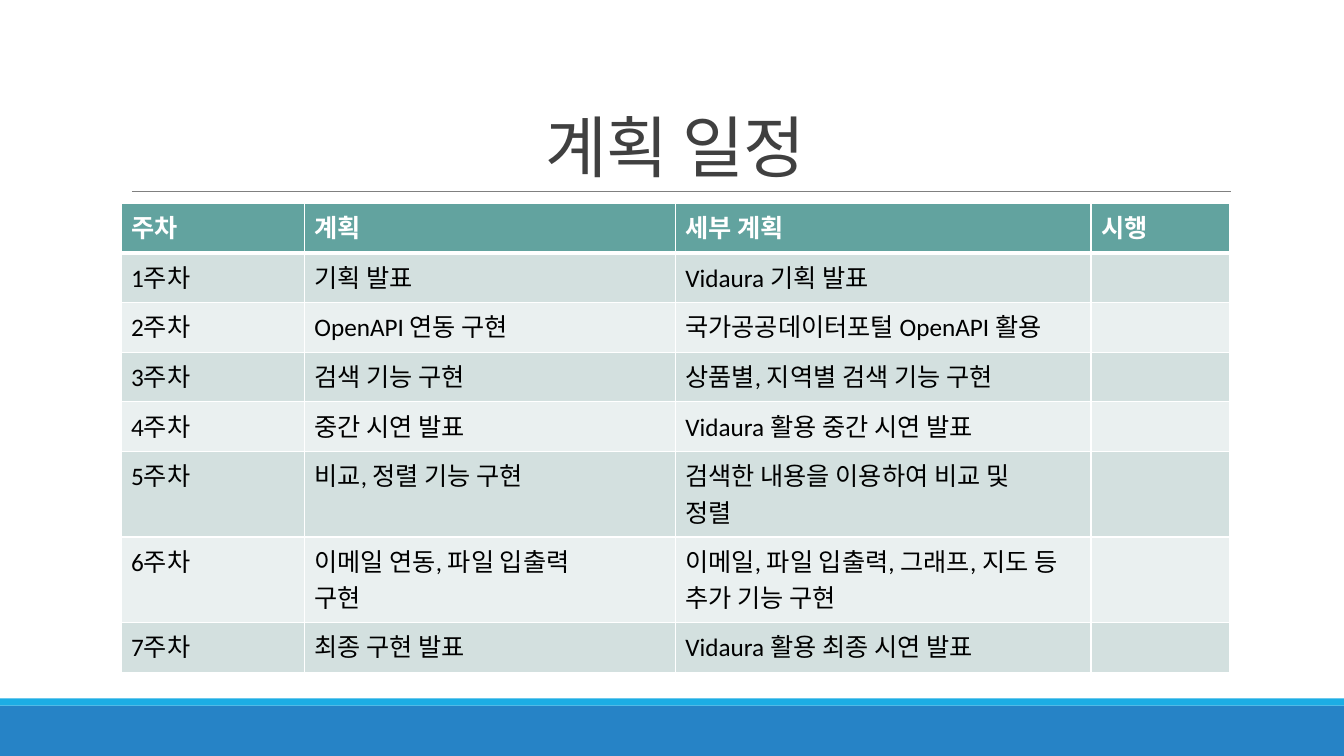
"""Build the weekly plan schedule slide."""
from dataclasses import dataclass

from lxml.etree import SubElement
from pptx import Presentation
from pptx.dml.color import RGBColor
from pptx.enum.shapes import MSO_CONNECTOR as Connector, MSO_SHAPE as Shape
from pptx.enum.text import MSO_ANCHOR as Anchor, PP_ALIGN as Align
from pptx.oxml.ns import qn
from pptx.util import Pt


@dataclass(frozen=True)
class Bar:
    top: float
    height: float
    color: str


@dataclass(frozen=True)
class Week:
    plan: str
    detail: str
    height: float = 35.4


WIDTH, HEIGHT = 960, 540
TABLE_LEFT, TABLE_TOP = 86.4, 145.44
COLUMN_WIDTHS = (131, 265, 297, 99)
HEADINGS = ("주차", "계획", "세부 계획", "시행")
HEADER_HEIGHT, TALL = 35.4, 61.2
HEADER_FILL, BAND_FILLS = "62A39F", ("D3E0DF", "EAF0F0")
BARS = (Bar(504, 36, "2683C6"), Bar(498.96, 5.04, "1CADE4"))
WEEKS = (
    Week("기획 발표", "Vidaura 기획 발표"),
    Week("OpenAPI 연동 구현", "국가공공데이터포털 OpenAPI 활용"),
    Week("검색 기능 구현", "상품별, 지역별 검색 기능 구현"),
    Week("중간 시연 발표", "Vidaura 활용 중간 시연 발표"),
    Week("비교, 정렬 기능 구현", "검색한 내용을 이용하여 비교 및\n정렬", TALL),
    Week("이메일 연동, 파일 입출력\n구현", "이메일, 파일 입출력, 그래프, 지도 등 추가 기능 구현", TALL),
    Week("최종 구현 발표", "Vidaura 활용 최종 시연 발표"),
)
TITLE_FONT = {"name": "Calibri", "size": Pt(48)}
CELL_FONT = {"name": "Calibri", "size": Pt(18)}


def rgb(color: str) -> RGBColor:
    """Turn a hex string into a colour."""
    return RGBColor.from_string(color)


def apply(target, values: dict) -> None:
    """Set each named attribute on the target."""
    for name, value in values.items():
        setattr(target, name, value)


def draw_bar(page, bar: Bar) -> None:
    """Draw one full-width footer bar."""
    shape = page.shapes.add_shape(Shape.RECTANGLE, 0, Pt(bar.top), Pt(WIDTH), Pt(bar.height))
    shape.shadow.inherit = False
    shape.fill.solid()
    shape.fill.fore_color.rgb = rgb(bar.color)
    shape.line.fill.background()


def draw_rule(page) -> None:
    """Draw the thin line below the title."""
    rule = page.shapes.add_connector(Connector.STRAIGHT, Pt(94.3), Pt(136.8), Pt(879.1), Pt(136.8))
    rule.line.width = Pt(0.5)
    rule.line.color.rgb = rgb("808080")
    SubElement(rule._element.spPr, qn("a:effectLst"))


def draw_title(page, text: str) -> None:
    """Write the centred slide title."""
    box = page.shapes.add_textbox(Pt(TABLE_LEFT), Pt(22.3), Pt(792), Pt(114.5))
    apply(box.text_frame, {"word_wrap": True, "vertical_anchor": Anchor.BOTTOM})
    para = box.text_frame.paragraphs[0]
    apply(para, {"alignment": Align.CENTER, "line_spacing": 0.85})
    span = para.add_run()
    span.text = text
    apply(span.font, TITLE_FONT)
    span.font.color.rgb = rgb("404040")
    span._r.get_or_add_rPr().set("spc", "-50")


def add_borders(cell, top: float, bottom: float) -> None:
    """Give a cell white borders."""
    properties = cell._tc.get_or_add_tcPr()
    for side, width in (("L", 1), ("R", 1), ("T", top), ("B", bottom)):
        line = SubElement(properties, qn(f"a:ln{side}"), w=str(Pt(width)))
        SubElement(SubElement(line, qn("a:solidFill")), qn("a:srgbClr"), val="FFFFFF")


def fill_cell(cell, text: str, row: int) -> None:
    """Write and format one cell according to its row."""
    header = row == 0
    cell.text = text
    for para in cell.text_frame.paragraphs:
        for font in (para.font, *(span.font for span in para.runs)):
            apply(font, CELL_FONT | {"bold": header})
            font.color.rgb = rgb("FFFFFF" if header else "000000")
    add_borders(cell, 3 if row == 1 else 1, 3 if header else 1)
    cell.fill.solid()
    cell.fill.fore_color.rgb = rgb(HEADER_FILL if header else BAND_FILLS[(row - 1) % 2])


def draw_schedule(page) -> None:
    """Draw the schedule table."""
    rows = [HEADINGS] + [(f"{n}주차", week.plan, week.detail, "") for n, week in enumerate(WEEKS, 1)]
    heights = [HEADER_HEIGHT] + [week.height for week in WEEKS]
    table = page.shapes.add_table(
        len(rows), len(HEADINGS), Pt(TABLE_LEFT), Pt(TABLE_TOP), Pt(sum(COLUMN_WIDTHS)), Pt(sum(heights))
    ).table
    for column, width in zip(table.columns, COLUMN_WIDTHS):
        column.width = Pt(width)
    for index, (texts, height) in enumerate(zip(rows, heights)):
        table.rows[index].height = Pt(height)
        for cell, text in zip(table.rows[index].cells, texts):
            fill_cell(cell, text, index)


def main() -> None:
    """Build and save the deck."""
    deck = Presentation()
    apply(deck, {"slide_width": Pt(WIDTH), "slide_height": Pt(HEIGHT)})
    page = deck.slides.add_slide(deck.slide_layouts[6])
    for bar in BARS:
        draw_bar(page, bar)
    draw_rule(page)
    draw_title(page, "계획 일정")
    draw_schedule(page)
    deck.save("out.pptx")


if __name__ == "__main__":
    main()
